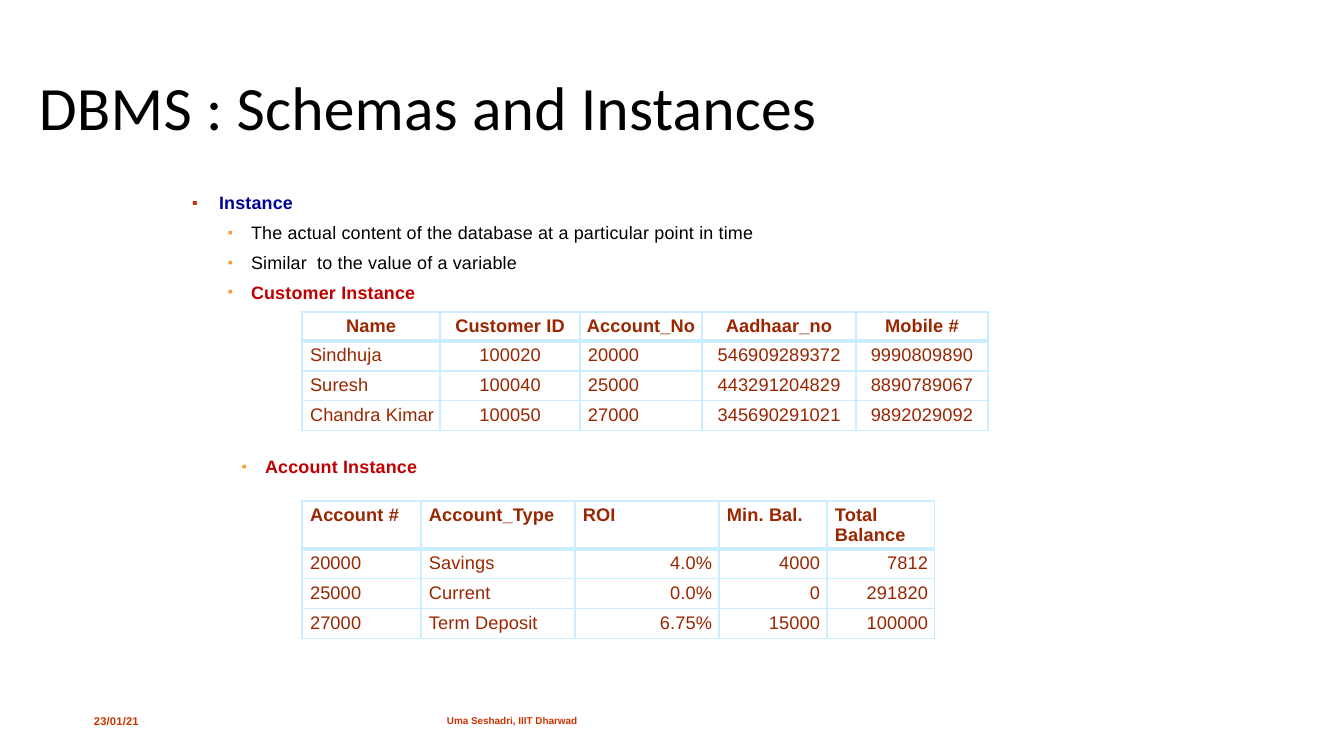
from lxml import etree
from pptx import Presentation
from pptx import util as u
from pptx.dml.color import RGBColor
from pptx.enum import text
from pptx.oxml.ns import qn

PX = u.Inches(1) / 100.8
INK = {"black": "000000", "navy": "00009A", "red": "C00000", "rust": "CC3300",
       "orange": "FF9A33", "brown": "9A2600", "sky": "CCECFF"}
LEFT, MID, RIGHT = text.PP_ALIGN.LEFT, text.PP_ALIGN.CENTER, text.PP_ALIGN.RIGHT


def px(*vals):
    return [u.Emu(round(v * PX)) for v in vals]


def write(para, words, size=12.8, color="black", bold=False, font="Arial", align=LEFT,
          before=0, space=10, left=0, hang=0, mark=None, scale=79):
    run = para.add_run()
    run.text = words
    run.font.size, run.font.name, run.font.bold = u.Pt(size), font, bold
    run.font.color.rgb = RGBColor.from_string(INK[color])
    run.font._element.set("spc", str(space))
    para.alignment, para.space_before = align, u.Pt(before)
    props = para._p.get_or_add_pPr()
    props.set("marL", str(px(left)[0]))
    props.set("indent", str(px(-hang)[0]))
    if mark:
        tint = etree.SubElement(props, qn("a:buClr"))
        etree.SubElement(tint, qn("a:srgbClr"), val=INK[mark])
        etree.SubElement(props, qn("a:buSzPct"), val=str(scale * 1000))
        etree.SubElement(props, qn("a:buFont"), typeface="Arial")
        etree.SubElement(props, qn("a:buChar"), char="▪")


deck = Presentation()
deck.slide_width, deck.slide_height = px(1344, 756)
slide = deck.slides.add_slide(deck.slide_layouts[6])

# Text boxes: place, top inset, anchor, lines
top, middle = text.MSO_ANCHOR.TOP, text.MSO_ANCHOR.MIDDLE
sub = dict(before=5.9, left=60, hang=23, mark="orange")
foot = dict(color="rust", bold=True, before=0.4, left=1)
boxes = [
    ((38, 66, 1056, 77), 2, middle, [
        ("DBMS : Schemas and Instances",
         dict(size=44, font="Calibri", before=1.2, left=1, space=15))]),
    ((93, 701, 302, 40), 0, middle, [("23/01/21", dict(size=8, **foot))]),
    ((446, 701, 454, 40), 0, middle, [
        ("Uma Seshadri, IIIT Dharwad", dict(size=7.1, space=0, **foot))]),
    ((191, 183, 752, 122), 9, top, [
        ("Instance", dict(color="navy", bold=True, before=6.7, left=28, hang=27,
                          mark="rust", scale=90)),
        ("The actual content of the database at a particular point in time", sub),
        ("Similar  to the value of a variable", sub),
        ("Customer Instance", dict(sub, color="red", bold=True))]),
    ((241, 454, 251, 23), 2, top, [
        ("Account Instance", dict(color="red", bold=True, before=1.2, left=24,
                                  hang=23, mark="orange"))]),
]
for place, inset, anchor, lines in boxes:
    frame = slide.shapes.add_textbox(*px(*place)).text_frame
    frame.word_wrap, frame.vertical_anchor = True, anchor
    frame.margin_left = frame.margin_right = frame.margin_bottom = 0
    frame.margin_top = px(inset)[0]
    for i, (words, style) in enumerate(lines):
        para = frame.add_paragraph() if i else frame.paragraphs[0]
        write(para, words, **style)

# Tables: top, column widths, row heights, header and body alignment, rows
tables = [
    (312, [138, 140, 122, 154, 132], [29, 30, 30, 30],
     [MID] * 5, [LEFT, MID, LEFT, MID, MID], [
        ["Name", "Customer ID", "Account_No", "Aadhaar_no", "Mobile #"],
        ["Sindhuja", "100020", "20000", "546909289372", "9990809890"],
        ["Suresh", "100040", "25000", "443291204829", "8890789067"],
        ["Chandra Kimar", "100050", "27000", "345690291021", "9892029092"]]),
    (501, [119, 154, 144, 108, 108], [47, 30, 30, 30],
     [LEFT] * 5, [LEFT, LEFT, RIGHT, RIGHT, RIGHT], [
        ["Account #", "Account_Type", "ROI", "Min. Bal.", "Total Balance"],
        ["20000", "Savings", "4.0%", "4000", "7812"],
        ["25000", "Current", "0.0%", "0", "291820"],
        ["27000", "Term Deposit", "6.75%", "15000", "100000"]]),
]
for y, wide, high, heads, aligns, rows in tables:
    place = px(302, y, sum(wide), sum(high))
    grid = slide.shapes.add_table(len(rows), len(wide), *place).table
    grid.first_row = grid.horz_banding = False
    for col, w in zip(grid.columns, px(*wide)):
        col.width = w
    for row, h in zip(grid.rows, px(*high)):
        row.height = h
    for r, row in enumerate(rows):
        for c, words in enumerate(row):
            cell = grid.cell(r, c)
            align = aligns[c] if r else heads[c]
            cell.margin_left = cell.margin_bottom = 0
            cell.margin_top, cell.margin_right = px(4, 7 if align == RIGHT else 0)
            write(cell.text_frame.paragraphs[0], words, size=13, color="brown",
                  bold=r == 0, align=align, before=2.9, left=8 if align == LEFT else 0)
            # Borders, thick below the header
            props = cell._tc.get_or_add_tcPr()
            thick = {"T": r == 1, "B": r == 0}
            for side in "LRTB":
                width = u.Pt(3 if thick.get(side) else 1)
                line = etree.SubElement(props, qn("a:ln" + side), w=str(width))
                fill = etree.SubElement(line, qn("a:solidFill"))
                etree.SubElement(fill, qn("a:srgbClr"), val=INK["sky"])
            cell.fill.background()

deck.save("out.pptx")
